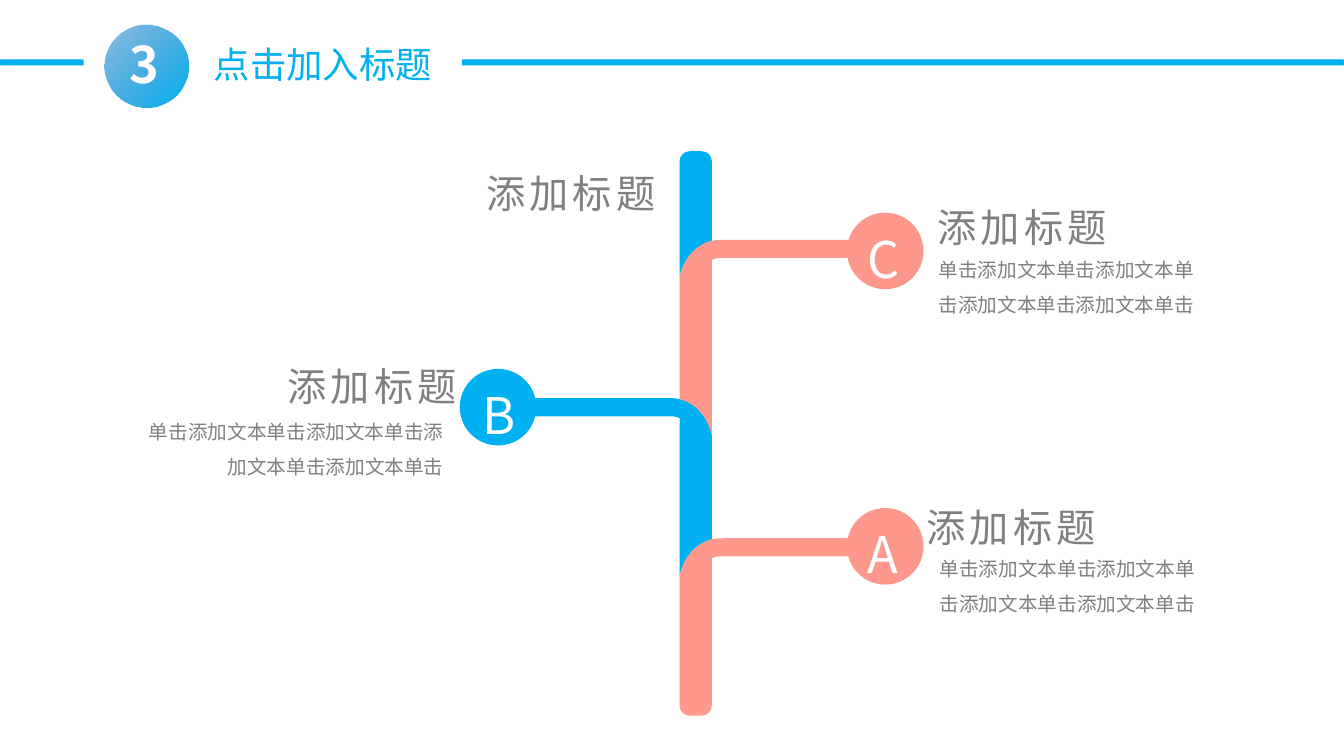
from lxml import etree
from pptx import Presentation
from pptx.dml.color import RGBColor
from pptx.enum.shapes import MSO_SHAPE
from pptx.enum.text import MSO_AUTO_SIZE, PP_ALIGN
from pptx.oxml.ns import qn
from pptx.util import Inches, Pt

LEFT, CENTER, RIGHT = PP_ALIGN.LEFT, PP_ALIGN.CENTER, PP_ALIGN.RIGHT
ELLIPSE, ROUNDED = MSO_SHAPE.OVAL, MSO_SHAPE.ROUNDED_RECTANGLE
GROW = MSO_AUTO_SIZE.SHAPE_TO_FIT_TEXT
BLUE, PINK, GREY, WHITE = "00B0F0", "FE978C", "808080", "FFFFFF"
FONT = "Noto Sans CJK SC"
TRUNK_LEFT, TRUNK_RIGHT, TRUNK_TOP, TRUNK_FOOT = 6.74, 7.06, 1.5, 7.1
TRUNK_WIDTH, TIP, CORNER, ARM_RADIUS = 0.32, 2.12, 0.1, 0.09
HEADING = "添加标题"
DETAIL = "单击添加文本单击添加文本单击添加文本单击添加文本单击"


def color(hex_string):
    """Turn a hex string into a colour."""
    return RGBColor.from_string(hex_string)


def backward(strokes):
    """Return strokes in the opposite direction."""
    return [stroke[::-1] for stroke in reversed(strokes)]


def across(strokes):
    """Return strokes mirrored across the trunk."""
    return [[(TRUNK_WIDTH - u, v) for u, v in stroke] for stroke in strokes]


def bend(top):
    """Return the outer bend of a branch, from its near to its far side."""
    return [[(0, top + 0.37), (0.02, top + 0.26), (0.11, top + 0.06),
             (TRUNK_WIDTH, top + 0.01)]]


def seam(top):
    """Return the edge where a stem meets the branch below it."""
    return across(backward(bend(top)))


def cap(end, inward):
    """Return a rounded trunk end, from its near to its far side."""
    k = CORNER * 0.45
    near = [[(0, end + inward * CORNER), (0, end + inward * k), (k, end), (CORNER, end)]]
    return near + across(backward(near))


def arm(top):
    """Return a side arm with a round tip, from its lower to its upper edge."""
    far, end, k = TRUNK_WIDTH, TIP - ARM_RADIUS, ARM_RADIUS * 0.55
    middle, low = top + ARM_RADIUS, top + 2 * ARM_RADIUS
    return [[(far, top + 0.2), (far + 0.03, low), (far + 0.07, low), (far + 0.11, low)],
            [(end, low), (end + k, low), (TIP, middle + k), (TIP, middle)],
            [(TIP, middle), (TIP, middle - k), (end + k, top), (end, top)],
            [(far + 0.12, top), (far + 0.08, top), (far + 0.04, top), (far, top + 0.01)]]


class Slide:
    """Draws the elements of one slide in a shared style."""

    def __init__(self, slide, font):
        """Keep the slide and its font."""
        self.shapes = slide.shapes
        self.font = font

    def paint(self, shape, fill):
        """Give a shape a plain fill without line or shadow."""
        shape.shadow.inherit = False
        shape.line.fill.background()
        shape.fill.solid()
        shape.fill.fore_color.rgb = color(fill)

    def shape(self, kind, left, top, width, height, fill):
        """Add a preset shape."""
        shape = self.shapes.add_shape(
            kind, Inches(left), Inches(top), Inches(width), Inches(height))
        self.paint(shape, fill)
        return shape

    def badge(self, left, top, size):
        """Add a disc that fades in from its upper left."""
        disc = self.shape(ELLIPSE, left, top, size, size, BLUE)
        disc.fill.gradient()
        disc.fill.gradient_angle = 315
        for stop, shade in zip(disc.fill.gradient_stops, ("0070C0", BLUE)):
            stop.color.rgb = color(shade)
        faded = next(disc.element.iter(qn("a:gs")))[0]
        etree.SubElement(faded, qn("a:alpha")).set("val", "44000")

    def outline(self, near, direction, strokes, fill):
        """Add a closed run of curves measured from the near side of the trunk."""
        points, curve_starts = [], []
        for stroke in strokes:
            if not points or points[-1] != stroke[0]:
                points.append(stroke[0])
            curve_starts.append(len(points) - 1)
            points += stroke[1:]
        placed = [(Inches(near + direction * u), Inches(v)) for u, v in points]
        builder = self.shapes.build_freeform(*placed[0], scale=1.0)
        builder.add_line_segments(placed[1:], close=True)
        shape = builder.convert_to_shape()
        lines = list(shape.element.iter(qn("a:lnTo")))
        for start in curve_starts:
            controls = lines[start:start + 3]
            bezier = etree.Element(qn("a:cubicBezTo"))
            controls[0].addprevious(bezier)
            for line in controls:
                bezier.append(line[0])
                line.getparent().remove(line)
        self.paint(shape, fill)

    def branch(self, near, direction, top, foot, fill):
        """Add a stem that bends into a side arm."""
        self.outline(near, direction, foot + arm(top) + backward(bend(top)), fill)

    def text(self, text, left, top, width, height, size, fill=GREY, align=LEFT,
             wrap=False, bold=False, spacing=0, line_spacing=None):
        """Add a text box with one formatted paragraph."""
        frame = self.shapes.add_textbox(
            Inches(left), Inches(top), Inches(width), Inches(height)).text_frame
        frame.word_wrap = wrap
        frame.auto_size = GROW
        paragraph = frame.paragraphs[0]
        paragraph.alignment = align
        if line_spacing:
            paragraph.line_spacing = line_spacing
        run = paragraph.add_run()
        run.text = text
        run.font.name, run.font.size, run.font.bold = self.font, Pt(size), bold
        run.font.color.rgb = color(fill)
        properties = run.font._element
        etree.SubElement(properties, qn("a:ea")).set("typeface", self.font)
        if spacing:
            properties.set("spc", str(spacing * 100))

    def heading(self, left, top, align=CENTER):
        """Add a spaced heading."""
        self.text(HEADING, left, top, 1.94, 0.57, 28, align=align, spacing=3)

    def detail(self, left, top, width, align=LEFT):
        """Add a wrapped description."""
        self.text(DETAIL, left, top, width, 0.81, 14, align=align, wrap=True,
                  line_spacing=1.5)

    def node(self, letter, left, top, indent, fill):
        """Add a lettered disc."""
        self.shape(ELLIPSE, left, top, 0.76, 0.76, fill)
        self.text(letter, left + indent, top + 0.1, 0.54, 0.71, 36, WHITE, CENTER)


def main():
    """Build and save the slide."""
    deck = Presentation()
    deck.slide_width, deck.slide_height = Inches(13.33), Inches(7.5)
    slide = Slide(deck.slides.add_slide(deck.slide_layouts[6]), FONT)

    slide.text("点击加入标题", 2.02, 0.37, 2.39, 0.54, 26, BLUE)
    for left, width in ((4.58, 8.75), (0, 0.83)):
        slide.shape(ROUNDED, left, 0.59, width, 0.06, BLUE)
    slide.badge(1.04, 0.24, 0.83)
    slide.text("3", 0.78, 0.28, 1.31, 0.71, 36, WHITE, CENTER, wrap=True,
               bold=True, spacing=-3)

    top_c, top_b, top_a = 2.38, 3.95, 5.34
    slide.outline(TRUNK_RIGHT, -1, seam(top_c) + backward(cap(TRUNK_TOP, 1)), BLUE)
    slide.branch(TRUNK_LEFT, 1, top_a, cap(TRUNK_FOOT, -1), PINK)
    slide.branch(TRUNK_RIGHT, -1, top_b, seam(top_a), BLUE)
    slide.branch(TRUNK_LEFT, 1, top_c, seam(top_b), PINK)

    slide.heading(9.2, 1.97, LEFT)
    slide.detail(9.21, 2.39, 2.79)
    slide.heading(2.72, 3.55)
    slide.detail(1.35, 4, 3.15, RIGHT)
    slide.heading(9.06, 4.94)
    slide.detail(9.22, 5.36, 2.79)
    for letter, left, top, indent, fill in (
            ("A", 8.4, 5.04, 0.09, PINK),
            ("C", 8.4, 2.11, 0.09, PINK),
            ("B", 4.56, 3.66, 0.12, BLUE)):
        slide.node(letter, left, top, indent, fill)
    slide.heading(4.69, 1.63)

    deck.save("out.pptx")


if __name__ == "__main__":
    main()
